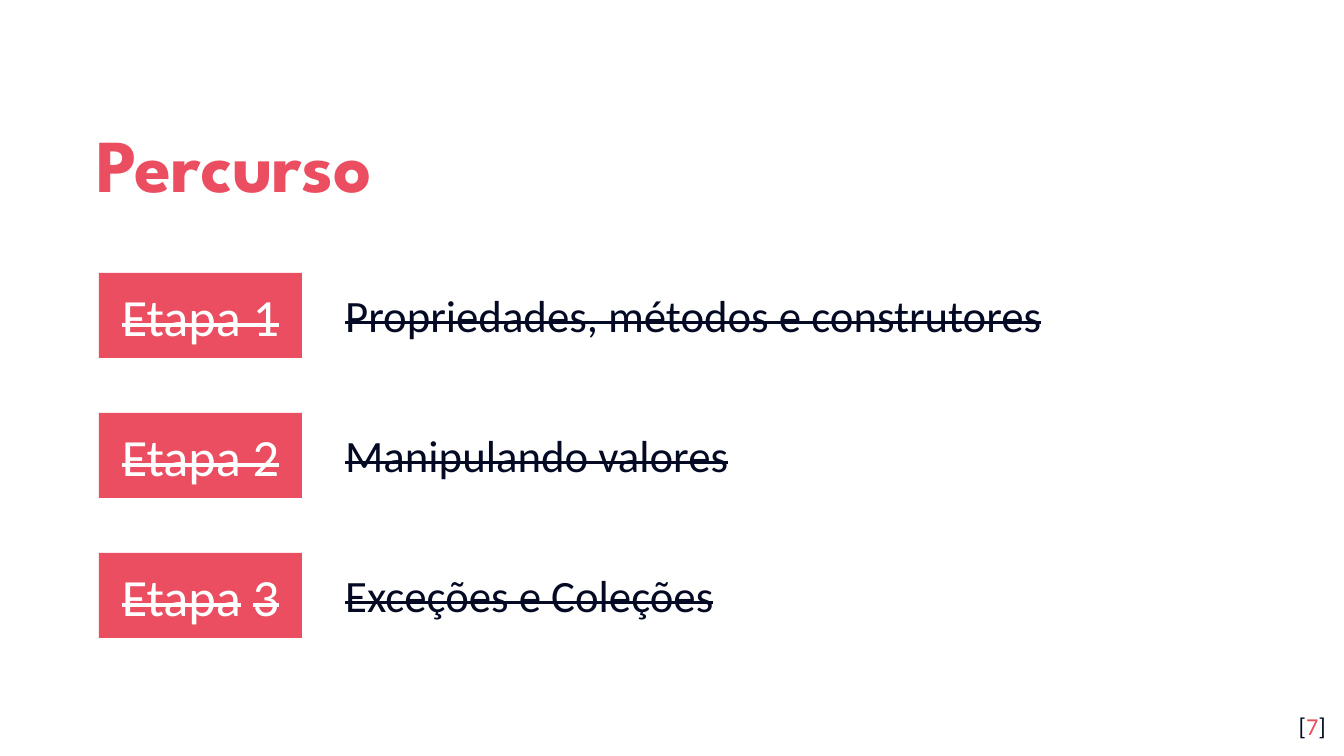
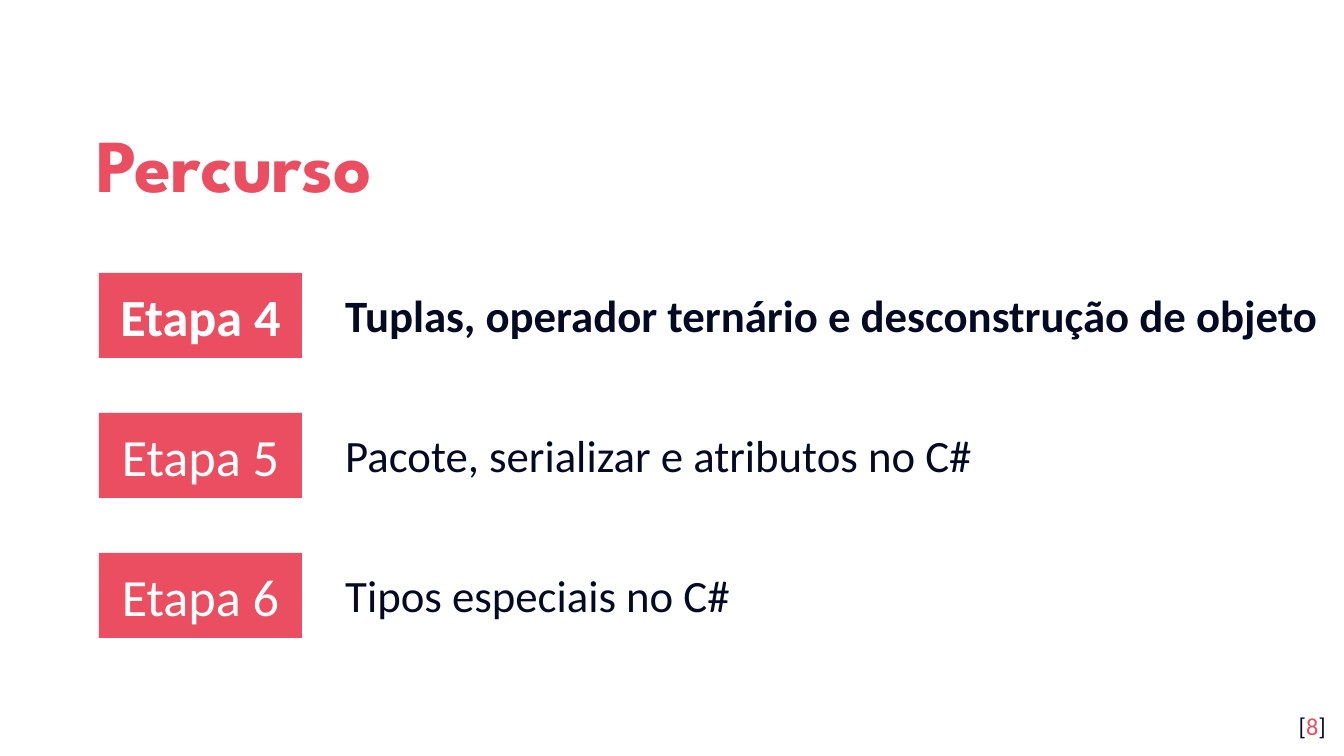
from pptx import Presentation
from pptx.dml.color import RGBColor
from pptx.enum.shapes import MSO_SHAPE
from pptx.enum.text import MSO_ANCHOR, MSO_AUTO_SIZE, PP_ALIGN
from pptx.util import Inches, Pt

RECTANGLE = MSO_SHAPE.RECTANGLE
MIDDLE, TOP = MSO_ANCHOR.MIDDLE, MSO_ANCHOR.TOP
LEFT, CENTER, RIGHT = PP_ALIGN.LEFT, PP_ALIGN.CENTER, PP_ALIGN.RIGHT
NO_AUTOFIT = MSO_AUTO_SIZE.NONE
TITLE_ONLY = 5

PX_PER_INCH = 134.4
CORAL, NAVY, WHITE = "EA4E60", "040A24", "FFFFFF"
HEADING_FONT, BODY_FONT = "League Spartan", "Calibri"
PLAIN, BOLD, STRUCK = "plain", "bold", "struck"

SLIDE_SIZE = (1344, 756)
TITLE_BOX = (83, 94, 1089, 124)
STAGES_BOX = (99, 273, 1245, 365)
NUMBER_BOX = (1258, 698, 81, 58)
STAGE_PITCH = 140
BADGE_SIZE = (203, 85)
TOPIC_OFFSET = (233, 8)
TOPIC_HEIGHT = 67

ROUTES = [
    (7, [
        ([("Etapa 1", STRUCK)], "Propriedades, métodos e construtores", STRUCK, 907),
        ([("Etapa 2", STRUCK)], "Manipulando valores", STRUCK, 954),
        ([("Etapa", STRUCK), (" ", BOLD), ("3", STRUCK)], "Exceções e Coleções", STRUCK, 907),
    ]),
    (8, [
        ([("Etapa 4", BOLD)], "Tuplas, operador ternário e desconstrução de objeto", BOLD, 1050),
        ([("Etapa 5", PLAIN)], "Pacote, serializar e atributos no C#", PLAIN, 954),
        ([("Etapa 6", PLAIN)], "Tipos especiais no C#", PLAIN, 907),
    ]),
]


def px(*lengths):
    """Convert pixel lengths to EMU."""
    return [Inches(length / PX_PER_INCH) for length in lengths]


def color(hex_value):
    """Turn a hex string into a colour."""
    return RGBColor.from_string(hex_value)


def prepare_frame(frame, anchor, align, vertical_inset=0.1):
    """Set wrapping, insets and alignment, and return the first paragraph."""
    frame.word_wrap = True
    frame.auto_size = NO_AUTOFIT
    frame.vertical_anchor = anchor
    frame.margin_left = frame.margin_right = Inches(0.1)
    frame.margin_top = frame.margin_bottom = Inches(vertical_inset)
    paragraph = frame.paragraphs[0]
    paragraph.alignment = align
    return paragraph


def write_run(paragraph, text, size, hex_value, style=PLAIN, font_name=BODY_FONT):
    """Append one formatted run."""
    run = paragraph.add_run()
    run.text = text
    run.font.name = font_name
    run.font.size = Pt(size)
    run.font.color.rgb = color(hex_value)
    run.font.bold = style == BOLD
    if style == STRUCK:
        run.font._element.set("strike", "sngStrike")


def place_title(slide, box, text):
    """Move and format the title placeholder."""
    title = slide.shapes.title
    title.left, title.top, title.width, title.height = px(*box)
    paragraph = prepare_frame(title.text_frame, MIDDLE, LEFT)
    paragraph.line_spacing = 1.15
    write_run(paragraph, text, 40, CORAL, BOLD, HEADING_FONT)


def add_badge(slide, left, top, label):
    """Draw the filled label of one stage."""
    badge = slide.shapes.add_shape(RECTANGLE, *px(left, top, *BADGE_SIZE))
    badge.shadow.inherit = False
    badge.fill.solid()
    badge.fill.fore_color.rgb = color(CORAL)
    badge.line.fill.background()
    paragraph = prepare_frame(badge.text_frame, MIDDLE, CENTER)
    for text, style in label:
        write_run(paragraph, text, 28, WHITE, style)


def add_topic(slide, left, top, width, text, style):
    """Write the topic beside a stage label."""
    topic = slide.shapes.add_textbox(*px(left, top, width, TOPIC_HEIGHT))
    paragraph = prepare_frame(topic.text_frame, TOP, LEFT, 0.05)
    properties = paragraph._p.get_or_add_pPr()
    properties.set("marL", str(Inches(0.5)))
    properties.set("indent", str(-Inches(0.5)))
    write_run(paragraph, text, 24, NAVY, style)


def add_stages(slide, box, stages):
    """Stack the stages at equal steps inside the box."""
    left, top = box[:2]
    for row, (label, topic, style, width) in enumerate(stages):
        row_top = top + row * STAGE_PITCH
        add_badge(slide, left, row_top, label)
        add_topic(slide, left + TOPIC_OFFSET[0], row_top + TOPIC_OFFSET[1], width, topic, style)


def add_page_number(slide, box, number):
    """Write the bracketed page number."""
    footer = slide.shapes.add_textbox(*px(*box))
    paragraph = prepare_frame(footer.text_frame, TOP, RIGHT)
    for text, hex_value in (("[", NAVY), (str(number), CORAL), ("]", NAVY)):
        write_run(paragraph, text, 13, hex_value)


def add_route_slide(prs, number, stages):
    """Build one slide of the learning route."""
    slide = prs.slides.add_slide(prs.slide_layouts[TITLE_ONLY])
    slide.background.fill.solid()
    slide.background.fill.fore_color.rgb = color(WHITE)
    place_title(slide, TITLE_BOX, "Percurso")
    add_stages(slide, STAGES_BOX, stages)
    add_page_number(slide, NUMBER_BOX, number)


def main():
    """Build and save the presentation."""
    prs = Presentation()
    prs.slide_width, prs.slide_height = px(*SLIDE_SIZE)
    for number, stages in ROUTES:
        add_route_slide(prs, number, stages)
    prs.save("out.pptx")


if __name__ == "__main__":
    main()
